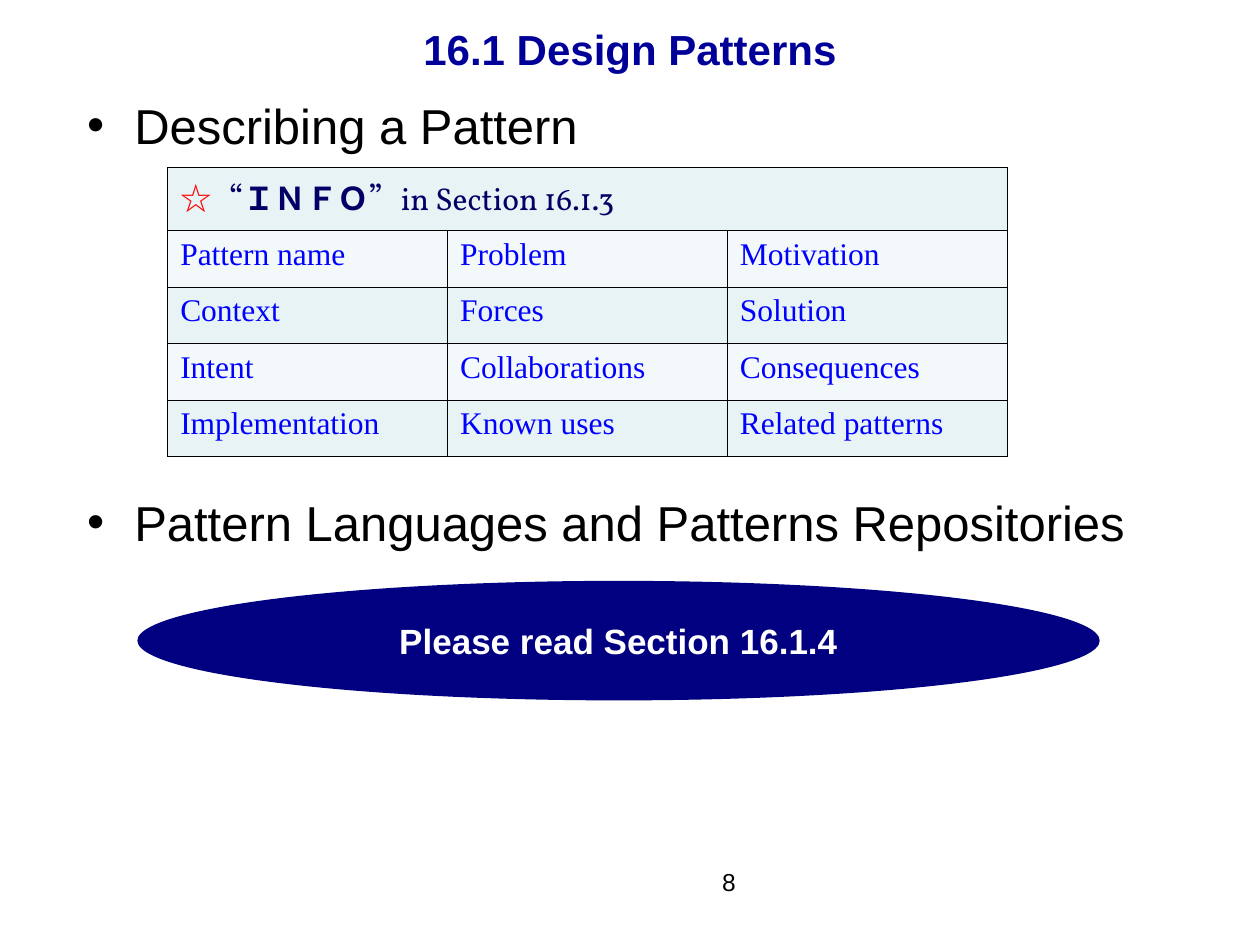
import lxml.etree
import pptx
import pptx.dml.color
import pptx.enum.lang
import pptx.enum.shapes
import pptx.enum.text
import pptx.oxml.ns
import pptx.util
from pptx.util import Cm

BLACK = "000000"
NAVY_TEXT = "000066"
BAND_FILLS = ("E7F3F4", "F3F9FA")
COLUMN_WIDTH = 5.64
HEADER_HEIGHT = 1.27
ROW_HEIGHT = 1.14
PATTERN_PARTS = (
    ("Pattern name", "Problem", "Motivation"),
    ("Context", "Forces", "Solution"),
    ("Intent", "Collaborations", "Consequences"),
    ("Implementation", "Known uses", "Related patterns"),
)
HEADER_RUNS = (
    ("☆", "FF0000", False),
    ("“", NAVY_TEXT, False),
    ("ＩＮＦＯ", NAVY_TEXT, True),
    ("”in Section 16.1.3", NAVY_TEXT, False),
)


def rgb(hex_string):
    return pptx.dml.color.RGBColor.from_string(hex_string)


def format_font(font, size, color, name="Arial", bold=False):
    font.name = name
    font.size = pptx.util.Pt(size)
    font.bold = bold
    font.color.rgb = rgb(color)


def place(shape, left, top, width, height):
    shape.left, shape.top = Cm(left), Cm(top)
    shape.width, shape.height = Cm(width), Cm(height)


def write_line(shape, text, size, color, bold=False, centered=True):
    frame = shape.text_frame
    frame.word_wrap = True
    frame.auto_size = pptx.enum.text.MSO_AUTO_SIZE.NONE
    paragraph = frame.paragraphs[0]
    paragraph.text = text
    paragraph.space_before = pptx.util.Pt(0)
    if centered:
        paragraph.alignment = pptx.enum.text.PP_ALIGN.CENTER
    format_font(paragraph.font, size, color, bold=bold)


def fill_title(shape, text):
    place(shape, 1.78, -0.2, 21.84, 2.36)
    write_line(shape, text, 24, "000099", bold=True)
    shape.text_frame.vertical_anchor = pptx.enum.text.MSO_ANCHOR.MIDDLE


def fill_bullet(shape, text, top):
    place(shape, 1.5, top, 23.5, 1.45)
    write_line(shape, text, 28, BLACK, centered=False)


def style_cell(cell, fill):
    properties = cell._tc.get_or_add_tcPr()
    qualify = pptx.oxml.ns.qn
    for side in ("a:lnL", "a:lnR", "a:lnT", "a:lnB"):
        border = lxml.etree.SubElement(
            properties, qualify(side), w=str(pptx.util.Pt(0.45)))
        line_fill = lxml.etree.SubElement(border, qualify("a:solidFill"))
        lxml.etree.SubElement(line_fill, qualify("a:srgbClr"), val=BLACK)
    cell.fill.solid()
    cell.fill.fore_color.rgb = rgb(fill)


def write_header(cell):
    paragraph = cell.text_frame.paragraphs[0]
    for text, color, bold in HEADER_RUNS:
        run = paragraph.add_run()
        run.text = text
        format_font(run.font, 18, color, "Vollkorn", bold)
        run.font.language_id = pptx.enum.lang.MSO_LANGUAGE_ID.SIMPLIFIED_CHINESE


def add_pattern_table(slide):
    row_count, column_count = len(PATTERN_PARTS) + 1, len(PATTERN_PARTS[0])
    table = slide.shapes.add_table(
        row_count, column_count, Cm(3.38), Cm(3.38),
        Cm(column_count * COLUMN_WIDTH),
        Cm(HEADER_HEIGHT + len(PATTERN_PARTS) * ROW_HEIGHT)).table
    for column in table.columns:
        column.width = Cm(COLUMN_WIDTH)
    for index, row in enumerate(table.rows):
        row.height = Cm(ROW_HEIGHT if index else HEADER_HEIGHT)
        for cell in row.cells:
            style_cell(cell, BAND_FILLS[index % 2])
    table.cell(0, 0).merge(table.cell(0, column_count - 1))
    write_header(table.cell(0, 0))
    for row_index, names in enumerate(PATTERN_PARTS, start=1):
        for column_index, name in enumerate(names):
            paragraph = table.cell(row_index, column_index).text_frame.paragraphs[0]
            paragraph.text = name
            format_font(paragraph.font, 18, "0000FF", "Times New Roman")


def add_reading_ellipse(slide, text):
    ellipse = slide.shapes.add_shape(
        pptx.enum.shapes.MSO_SHAPE.OVAL, Cm(2.77), Cm(11.71), Cm(19.4), Cm(2.41))
    ellipse.shadow.inherit = False
    ellipse.fill.solid()
    ellipse.fill.fore_color.rgb = rgb("000080")
    ellipse.line.fill.background()
    write_line(ellipse, text, 20, "FFFFFF", bold=True)
    ellipse.text_frame.vertical_anchor = pptx.enum.text.MSO_ANCHOR.MIDDLE


def add_page_number(slide, number):
    box = slide.shapes.add_textbox(Cm(10.67), Cm(17.35), Cm(8.05), Cm(1.32))
    write_line(box, number, 14, BLACK)


def main():
    presentation = pptx.Presentation()
    presentation.slide_width, presentation.slide_height = Cm(25.4), Cm(19.05)
    two_content_layout = presentation.slide_layouts[3]
    slide = presentation.slides.add_slide(two_content_layout)
    title, describing, languages = slide.placeholders
    fill_title(title, "16.1 Design Patterns")
    fill_bullet(describing, "Describing a Pattern", 1.8)
    fill_bullet(languages, "Pattern Languages and Patterns Repositories", 9.8)
    add_pattern_table(slide)
    add_reading_ellipse(slide, "Please read Section 16.1.4")
    add_page_number(slide, "8")
    presentation.save("out.pptx")


if __name__ == "__main__":
    main()
